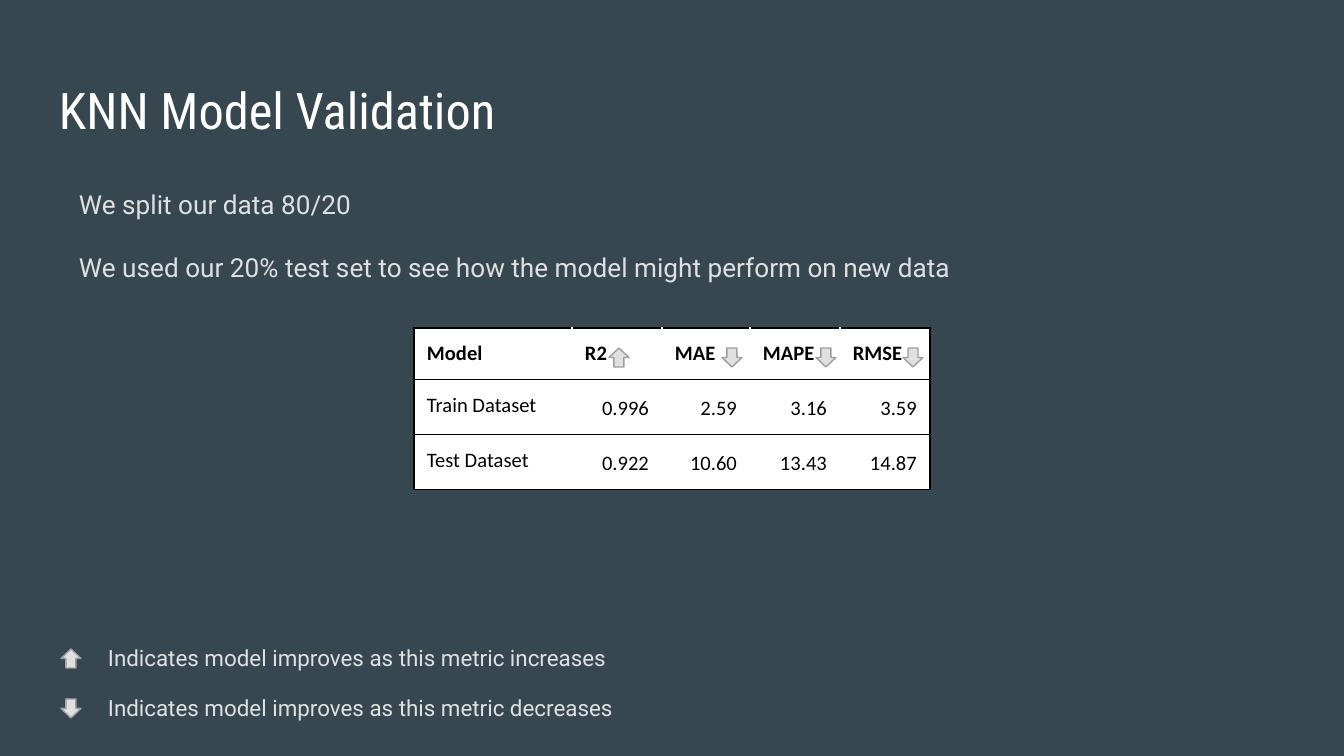
import pptx
import pptx.util
import pptx.dml.color
import pptx.enum.shapes
import pptx.enum.text
import pptx.oxml
import pptx.oxml.ns
import lxml.etree

PX = 914400 / 134.4
INSET = 13
COLORS = {
    "background": "37474F",
    "title": "FFFFFF",
    "text": "E0E0E0",
    "arrow": "E0E0E0",
    "arrow_line": "9E9E9E",
    "cell": "FFFFFF",
    "ink": "000000",
}
UP = pptx.enum.shapes.MSO_SHAPE.UP_ARROW
DOWN = pptx.enum.shapes.MSO_SHAPE.DOWN_ARROW
LEFT = pptx.enum.text.PP_ALIGN.LEFT
RIGHT = pptx.enum.text.PP_ALIGN.RIGHT

# label, direction of improvement, arrow offset from the table, train, test
METRICS = [
    ("R2", UP, 195, "0.996", "0.922"),
    ("MAE", DOWN, 308, "2.59", "10.60"),
    ("MAPE", DOWN, 402, "3.16", "13.43"),
    ("RMSE", DOWN, 489, "3.59", "14.87"),
]


def px(length):
    return pptx.util.Emu(round(length * PX))


def color(name):
    return pptx.dml.color.RGBColor.from_string(COLORS[name])


def style(paragraph, font, size, ink, bold=False, align=LEFT):
    paragraph.alignment = align
    for run in paragraph.runs:
        run.font.name = font
        run.font.size = pptx.util.Pt(size)
        run.font.bold = bold
        run.font.color.rgb = color(ink)


def frame_text(holder, box, text):
    """Place a text holder in its box and fill it, with even insets."""
    holder.left, holder.top, holder.width, holder.height = map(px, box)
    frame = holder.text_frame
    frame.text = text
    frame.word_wrap = True
    frame.auto_size = pptx.enum.text.MSO_AUTO_SIZE.NONE
    frame.vertical_anchor = pptx.enum.text.MSO_ANCHOR.TOP
    frame.margin_left = frame.margin_right = px(INSET)
    frame.margin_top = frame.margin_bottom = px(INSET)
    return frame.paragraphs


def add_arrow(slide, direction, left, top):
    arrow = slide.shapes.add_shape(direction, px(left), px(top), px(20), px(19))
    arrow.shadow.inherit = False
    arrow.fill.solid()
    arrow.fill.fore_color.rgb = color("arrow")
    arrow.line.color.rgb = color("arrow_line")
    arrow.line.width = pptx.util.Pt(0.75)


def add_title(slide, box):
    for paragraph in frame_text(slide.shapes.title, box, "KNN Model Validation"):
        style(paragraph, "Roboto Condensed", 27, "title")


def add_body(slide, box):
    lines = [
        "We split our data 80/20",
        "We used our 20% test set to see how the model might perform on new data",
    ]
    paragraphs = frame_text(slide.placeholders[1], box, "\n".join(lines))
    for index, paragraph in enumerate(paragraphs):
        style(paragraph, "Roboto", 14, "text")
        paragraph.space_before = pptx.util.Pt(17 * index)
        properties = paragraph._p.get_or_add_pPr()
        properties.set("marL", "0")
        properties.set("indent", "0")
        lxml.etree.SubElement(properties, pptx.oxml.ns.qn("a:buNone"))


def add_legend(slide, box):
    left, top, width, row_height = box
    for index, (direction, trend) in enumerate([(UP, "increases"), (DOWN, "decreases")]):
        row_top = top + 50 * index
        add_arrow(slide, direction, left, row_top + 18)
        label_box = left + 34, row_top, width - 34, row_height
        label = slide.shapes.add_textbox(0, 0, 0, 0)
        text = f"Indicates model improves as this metric {trend}"
        for paragraph in frame_text(label, label_box, text):
            style(paragraph, "Roboto", 12, "text")


def add_border(cell, side, width):
    cell._tc.get_or_add_tcPr().append(pptx.oxml.parse_xml(
        f'<a:ln{side} {pptx.oxml.ns.nsdecls("a")} w="{pptx.util.Pt(width)}">'
        f'<a:solidFill><a:srgbClr val="{COLORS["ink"]}"/></a:solidFill></a:ln{side}>'
    ))


def add_scores(slide, box):
    left, top, width, height = box
    labels, directions, offsets, train, test = zip(*METRICS)
    rows = [
        ("Model", *labels),
        ("Train Dataset", *train),
        ("Test Dataset", *test),
    ]
    last_row, last_column = len(rows) - 1, len(METRICS)
    table = slide.shapes.add_table(
        len(rows), last_column + 1, px(left), px(top), px(width), px(height)).table
    table.first_row = table.horz_banding = False
    for column, column_width in zip(table.columns, (158, 90, 88, 90, 90)):
        column.width = px(column_width)
    for row, row_height in zip(table.rows, (51, 55, 55)):
        row.height = px(row_height)

    for r, values in enumerate(rows):
        for c, value in enumerate(values):
            cell = table.cell(r, c)
            if c == 0:
                add_border(cell, "L", 1)
            if c == last_column:
                add_border(cell, "R", 1)
            add_border(cell, "T", 1 if r == 0 else 0.75)
            add_border(cell, "B", 1 if r == last_row else 0.75)
            cell.fill.solid()
            cell.fill.fore_color.rgb = color("cell")
            cell.margin_left = cell.margin_right = px(INSET)
            cell.margin_top = cell.margin_bottom = px(INSET)
            cell.text_frame.text = value
            is_score = r > 0 and c > 0
            paragraph = cell.text_frame.paragraphs[0]
            style(paragraph, "Calibri", 11, "ink", bold=r == 0,
                  align=RIGHT if is_score else LEFT)
            if is_score:
                paragraph.line_spacing = 1.15

    for direction, offset in zip(directions, offsets):
        add_arrow(slide, direction, left + offset, top + 20)


def main():
    deck = pptx.Presentation()
    deck.slide_width, deck.slide_height = px(1344), px(756)
    slide = deck.slides.add_slide(deck.slide_layouts[1])
    slide.background.fill.solid()
    slide.background.fill.fore_color.rgb = color("background")
    add_title(slide, (46, 66, 1252, 84))
    add_legend(slide, (61, 631, 635, 54))
    add_scores(slide, (414, 328, 516, 161))
    add_body(slide, (66, 175, 1232, 122))
    deck.save("out.pptx")


if __name__ == "__main__":
    main()
